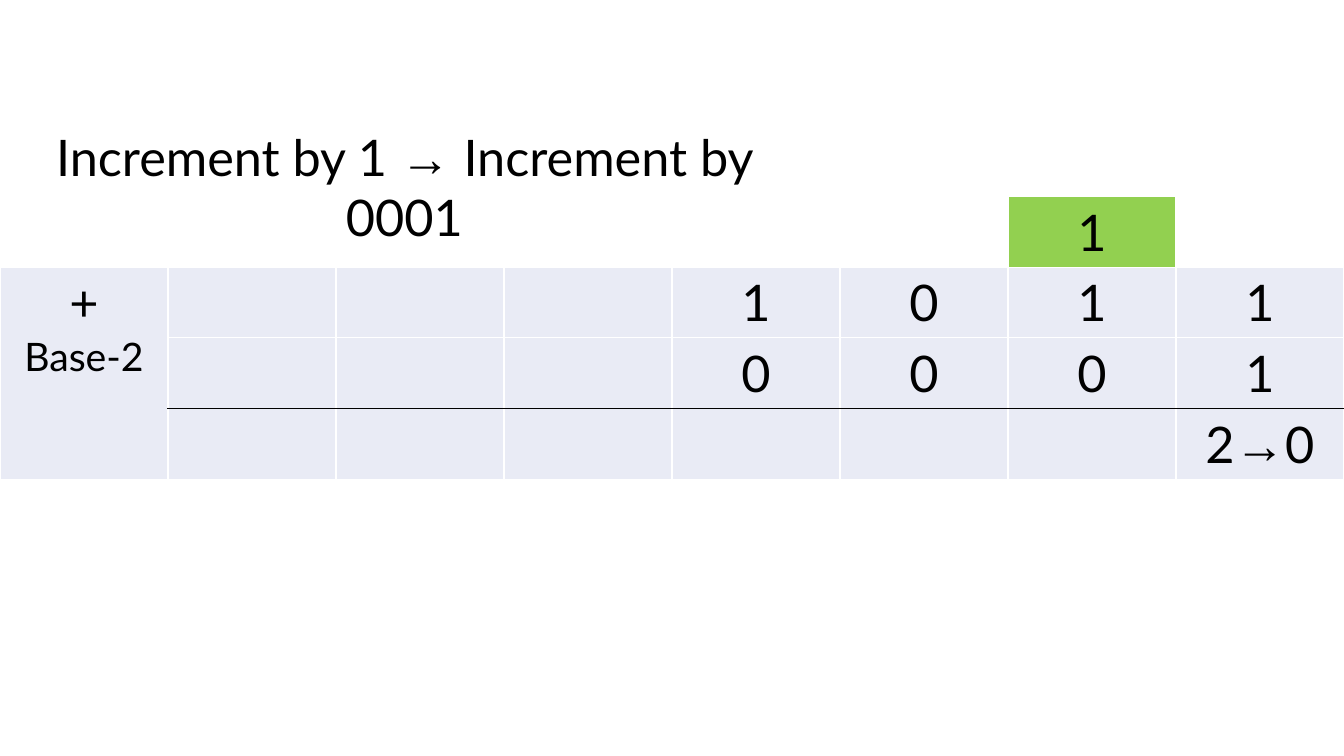
"""Binary addition slide: incrementing 1011 by one with a carry."""
from lxml import etree
from pptx import Presentation
from pptx.dml.color import RGBColor
from pptx.enum.text import PP_ALIGN
from pptx.oxml.ns import qn
from pptx.util import Inches, Pt

CENTER = PP_ALIGN.CENTER
COLORS = {"text": "000000", "border": "FFFFFF", "rule": "000000",
          "cell": "E9EBF5", "carry": "92D050"}
BODY_FONT, ARROW_FONT = "Lato", "Times New Roman"
ROWS, COLS = 4, 8
ROW_H = 0.7
SUM_ROW = 3

prs = Presentation()
prs.slide_width, prs.slide_height = Inches(13.33), Inches(7.5)
s = prs.slides.add_slide(prs.slide_layouts[6])


def write(p, text, size=36, color="text", align=CENTER):
    p.alignment = align
    before, arrow, after = text.partition("→")
    for part, font in ((before, BODY_FONT), (arrow, ARROW_FONT), (after, BODY_FONT)):
        if part:
            r = p.add_run()
            r.text = part
            r.font.size = Pt(size)
            r.font.name = font
            r.font.color.rgb = RGBColor.from_string(COLORS[color])


def add_border(cell, side, color):
    ln = etree.SubElement(cell._tc.get_or_add_tcPr(), qn(f"a:ln{side}"), w=str(Pt(1)))
    fill = etree.SubElement(ln, qn("a:solidFill"))
    etree.SubElement(fill, qn("a:srgbClr"), val=COLORS[color])


table = s.shapes.add_table(ROWS, COLS, 0, Inches(1.95), prs.slide_width,
                           Inches(ROWS * ROW_H)).table
table.first_row = table.horz_banding = False
for row in table.rows:
    row.height = Inches(ROW_H)
for col in table.columns:
    col.width = prs.slide_width // COLS

digits = {
    (0, 6): "1",
    (1, 4): "1", (1, 5): "0", (1, 6): "1", (1, 7): "1",
    (2, 4): "0", (2, 5): "0", (2, 6): "0", (2, 7): "1",
    (SUM_ROW, 7): "2→0",
}
for row in range(ROWS):
    for col in range(COLS):
        cell = table.cell(row, col)
        for side in "LRTB":
            on_rule = (row, side) in ((SUM_ROW - 1, "B"), (SUM_ROW, "T"))
            add_border(cell, side, "rule" if on_rule and col else "border")
        if row == 0 and (row, col) not in digits:
            cell.fill.background()
        else:
            cell.fill.solid()
            cell.fill.fore_color.rgb = RGBColor.from_string(COLORS["cell" if row else "carry"])
        if (row, col) in digits:
            write(cell.text_frame.paragraphs[0], digits[row, col])

operator = table.cell(1, 0)
operator.merge(table.cell(SUM_ROW, 0))
tf = operator.text_frame
write(tf.paragraphs[0], "+")
write(tf.add_paragraph(), "Base-2", size=28)

tf = s.shapes.add_textbox(0, Inches(1.2), Inches(8.02), Inches(0.71)).text_frame
tf.word_wrap = True
write(tf.paragraphs[0], "Increment by 1 → Increment by 0001")

prs.save("out.pptx")
